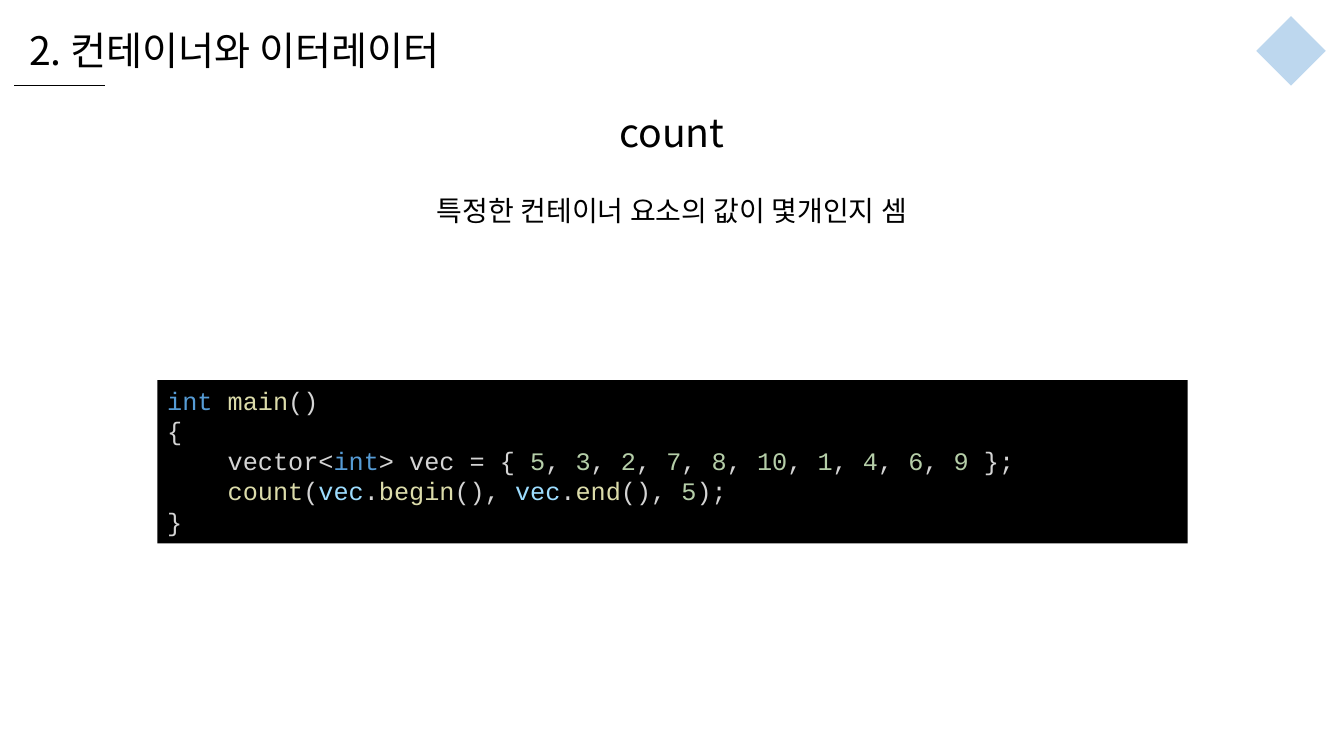
"""Build the slide on the count algorithm."""
from pptx import Presentation
from pptx.dml.color import RGBColor as Rgb
from pptx.enum.shapes import MSO_CONNECTOR as Conn, MSO_SHAPE as Form
from pptx.enum.text import MSO_ANCHOR as Anchor, MSO_AUTO_SIZE as Auto, PP_ALIGN as Align
from pptx.oxml.ns import qn
from pptx.util import Inches, Pt
from lxml import etree

HUES = {"ink": "000000", "gem": "BDD7EE", "type": "569CD6", "func": "DCDCAA",
        "plain": "D4D4D4", "num": "B5CEA8", "var": "9CDCFE"}
SANS, MONO = "Noto Sans CJK KR", "Courier New"

TITLE = "2. 컨테이너와 이터레이터"
HEADS = [("count", 28, (6.04, 0.79, 1.25, 0.73)),
         ("특정한 컨테이너 요소의 값이 몇개인지 셈", 20, (4.09, 1.7, 5.15, 0.55))]

ITEMS = [5, 3, 2, 7, 8, 10, 1, 4, 6, 9]
LIST = [part for item in ITEMS for part in ((", ", "plain"), (str(item), "num"))][1:]
CODE = [
    (0, [("int ", "type"), ("main", "func"), ("()", "plain")]),
    (0, [("{", "plain")]),
    (1, [("vector<", "plain"), ("int", "type"), ("> vec = { ", "plain"),
         *LIST, (" };", "plain")]),
    (1, [("count", "func"), ("(", "plain"), ("vec", "var"), (".", "plain"),
         ("begin", "func"), ("(), ", "plain"), ("vec", "var"), (".", "plain"),
         ("end", "func"), ("(), ", "plain"), ("5", "num"), (");", "plain")]),
    (0, [("}", "plain")]),
]
INDENT = 0.6


def color(name):
    return Rgb.from_string(HUES[name])


def add_run(para, text, size, face, hue):
    run = para.add_run()
    run.text = text
    run.font.size = Pt(size)
    run.font.name = face
    run.font.color.rgb = color(hue)
    east = etree.SubElement(run.font._element, qn("a:ea"))
    east.set("typeface", face)


def set_text(shape, text, size, align, space):
    frame = shape.text_frame
    frame.word_wrap = False
    frame.auto_size = Auto.NONE
    frame.vertical_anchor = Anchor.TOP
    para = frame.paragraphs[0]
    para.alignment = align
    para.line_spacing = space
    add_run(para, text, size, SANS, "ink")


def add_form(form, box, hue):
    shape = slide.shapes.add_shape(form, *map(Inches, box))
    shape.shadow.inherit = False
    shape.fill.solid()
    shape.fill.fore_color.rgb = color(hue)
    shape.line.fill.background()
    return shape


deck = Presentation()
deck.slide_width, deck.slide_height = Inches(13.33), Inches(7.5)
slide = deck.slides.add_slide(deck.slide_layouts[5])

title = slide.shapes.title
title.left, title.top, title.width, title.height = map(Inches, (0.19, 0.21, 4.48, 0.57))
set_text(title, TITLE, 28, Align.LEFT, 1.0)

rule = slide.shapes.add_connector(Conn.STRAIGHT, *map(Inches, (0.14, 0.85, 1.04, 0.85)))
rule.line.color.rgb = color("ink")
rule.line.width = Pt(0.5)
etree.SubElement(rule._element.spPr, qn("a:effectLst"))

for text, size, box in HEADS:
    set_text(slide.shapes.add_textbox(*map(Inches, box)), text, size, Align.CENTER, 1.5)

panel = add_form(Form.RECTANGLE, (1.56, 3.77, 10.22, 1.62), "ink")
frame = panel.text_frame
frame.word_wrap = True
frame.vertical_anchor = Anchor.TOP
for row, (level, parts) in enumerate(CODE):
    para = frame.add_paragraph() if row else frame.paragraphs[0]
    para.alignment = Align.LEFT
    para._p.get_or_add_pPr().set("marL", str(Inches(level * INDENT)))
    for text, hue in parts:
        add_run(para, text, 18, MONO, hue)

add_form(Form.DIAMOND, (12.46, 0.16, 0.69, 0.69), "gem")
deck.save("out.pptx")
